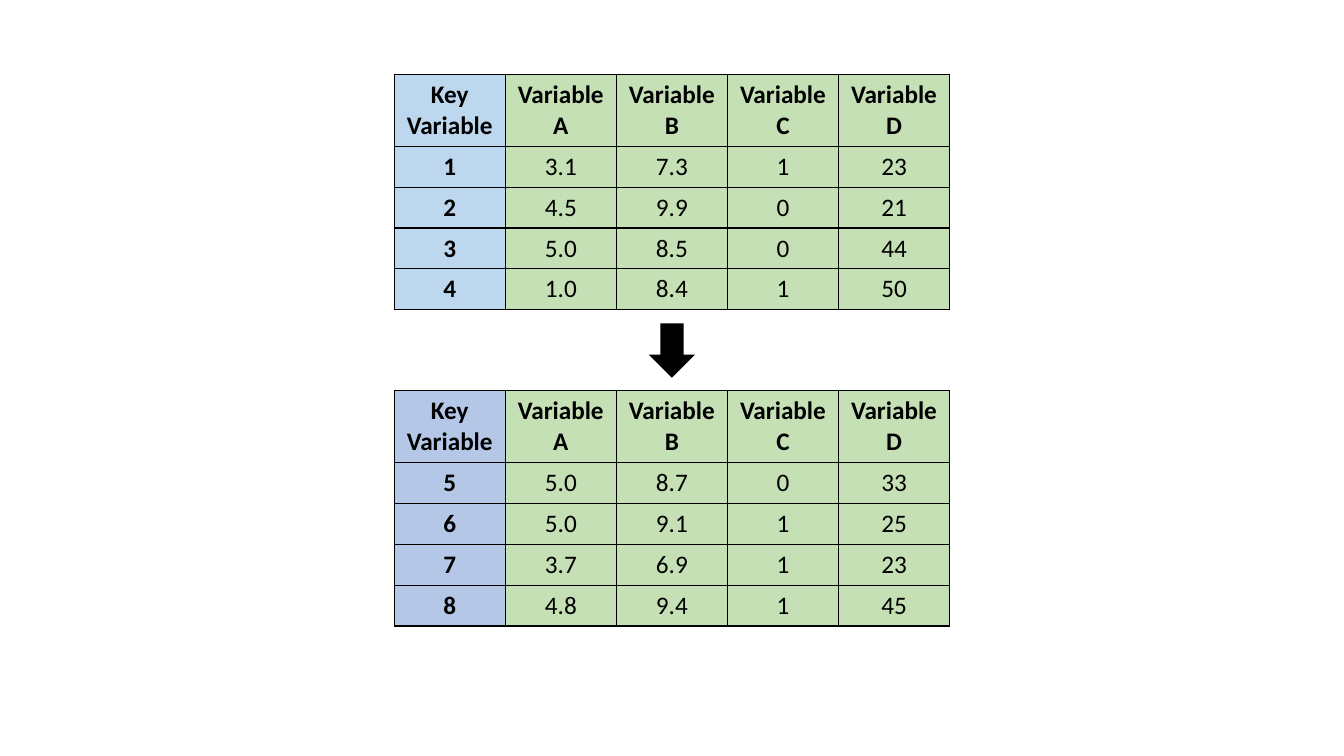
from dataclasses import dataclass

from pptx import Presentation
from pptx.dml.color import RGBColor as RGB
from pptx.enum.shapes import MSO_SHAPE as SHAPE
from pptx.enum.text import MSO_ANCHOR as ANCHOR, PP_ALIGN as ALIGN
from pptx.oxml import parse_xml
from pptx.oxml.ns import nsdecls
from pptx.util import Cm, Pt


@dataclass(frozen=True)
class Theme:
    font: str = "Calibri"
    size: int = 18
    border: int = 1
    ink: str = "000000"
    values: str = "C5E0B4"
    first_keys: str = "BDD7EE"
    second_keys: str = "B4C7E7"


THEME = Theme()

# Measures in centimetres
SLIDE_W, SLIDE_H = 33.87, 19.05
COL_W, HEADER_H, ROW_H = 2.8, 1.78, 1.03
ARROW_W, ARROW_H = 1.17, 1.37

HEADER = ["Key Variable"] + [f"Variable {letter}" for letter in "ABCD"]
FIRST_ROWS = [
    ["1", "3.1", "7.3", "1", "23"],
    ["2", "4.5", "9.9", "0", "21"],
    ["3", "5.0", "8.5", "0", "44"],
    ["4", "1.0", "8.4", "1", "50"],
]
SECOND_ROWS = [
    ["5", "5.0", "8.7", "0", "33"],
    ["6", "5.0", "9.1", "1", "25"],
    ["7", "3.7", "6.9", "1", "23"],
    ["8", "4.8", "9.4", "1", "45"],
]


def centred_left(width):
    return Cm((SLIDE_W - width) / 2)


def set_borders(cell):
    tcPr = cell._tc.get_or_add_tcPr()
    for side in ("lnL", "lnR", "lnT", "lnB"):
        tcPr.append(parse_xml(
            f'<a:{side} {nsdecls("a")} w="{Pt(THEME.border)}"><a:solidFill>'
            f'<a:srgbClr val="{THEME.ink}"/></a:solidFill></a:{side}>'))


def fill_cell(cell, text, color, bold):
    set_borders(cell)
    cell.fill.solid()
    cell.fill.fore_color.rgb = RGB.from_string(color)
    cell.vertical_anchor = ANCHOR.MIDDLE
    p = cell.text_frame.paragraphs[0]
    p.text = text
    p.alignment = ALIGN.CENTER
    font = p.runs[0].font
    font.name, font.size, font.bold = THEME.font, Pt(THEME.size), bold
    font.color.rgb = RGB.from_string(THEME.ink)


def add_data_table(s, top, body, key_color):
    rows = [HEADER] + body
    width = COL_W * len(HEADER)
    height = HEADER_H + ROW_H * len(body)
    table = s.shapes.add_table(len(rows), len(HEADER), centred_left(width),
                               Cm(top), Cm(width), Cm(height)).table
    for col in table.columns:
        col.width = Cm(COL_W)
    for i, row in enumerate(rows):
        table.rows[i].height = Cm(ROW_H if i else HEADER_H)
        for j, text in enumerate(row):
            # The header row and the key column are bold
            fill_cell(table.cell(i, j), text,
                      THEME.values if j else key_color, i == 0 or j == 0)


def add_down_arrow(s, top):
    sp = s.shapes.add_shape(SHAPE.DOWN_ARROW, centred_left(ARROW_W), Cm(top),
                            Cm(ARROW_W), Cm(ARROW_H))
    sp.shadow.inherit = False
    sp.fill.solid()
    sp.fill.fore_color.rgb = RGB.from_string(THEME.ink)
    sp.line.fill.background()


def main():
    prs = Presentation()
    prs.slide_width, prs.slide_height = Cm(SLIDE_W), Cm(SLIDE_H)
    s = prs.slides.add_slide(prs.slide_layouts[6])

    # Two data sets with the same variables
    add_data_table(s, 1.88, FIRST_ROWS, THEME.first_keys)
    add_data_table(s, 9.85, SECOND_ROWS, THEME.second_keys)

    # Arrow from the first to the second
    add_down_arrow(s, 8.15)

    prs.save("out.pptx")


main()
